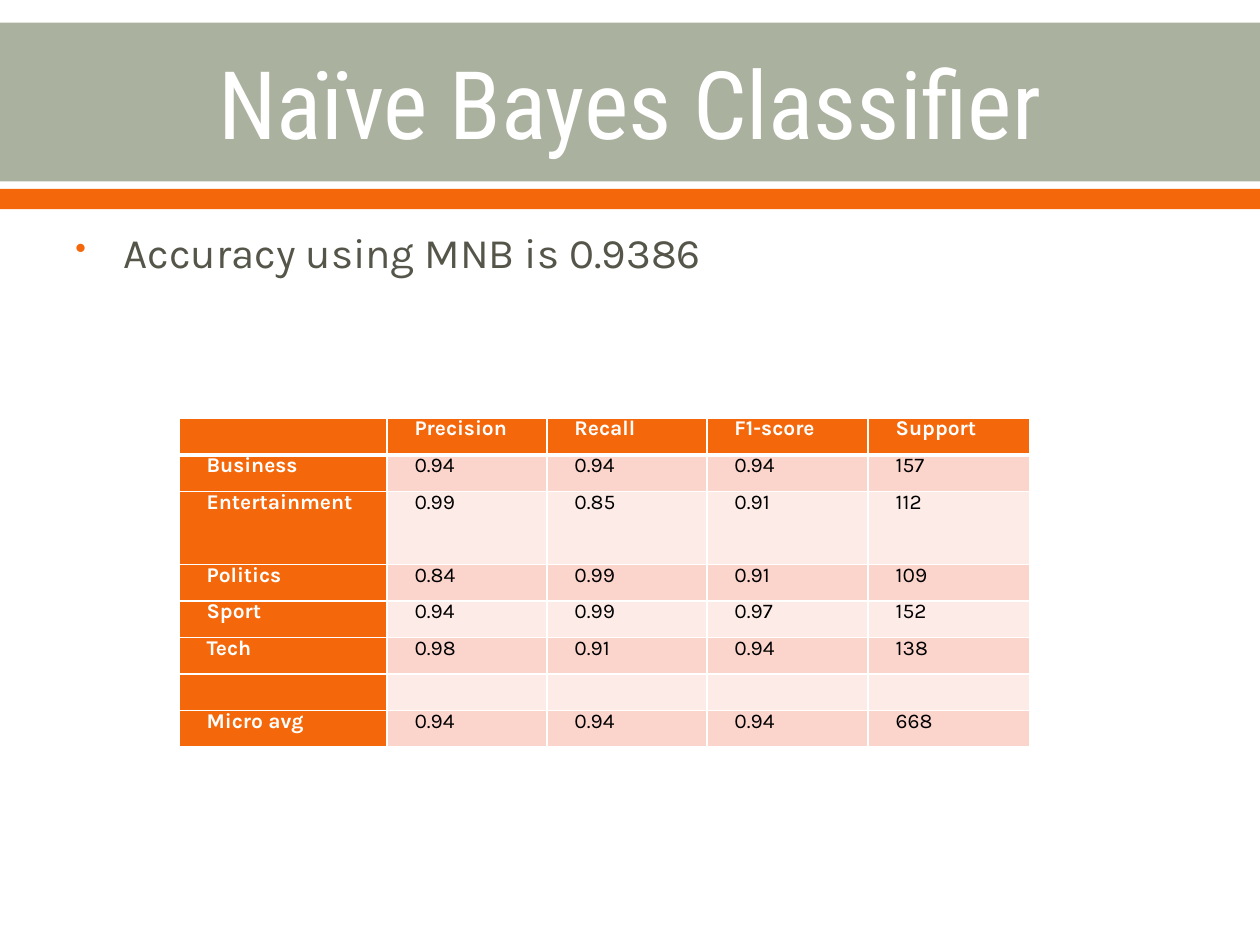
from lxml.etree import SubElement
from pptx import Presentation
from pptx.dml.color import RGBColor
from pptx.enum.shapes import MSO_SHAPE
from pptx.enum.text import MSO_ANCHOR, PP_ALIGN
from pptx.oxml.ns import qn
from pptx.util import Inches, Pt

COLORS = {
    "sage": "ABB19F",
    "orange": "F4680B",
    "white": "FFFFFF",
    "body": "55554A",
    "black": "000000",
    "band_dark": "FBD4CC",
    "band_light": "FDEBE7",
}
HEADING_FONT = "Roboto Condensed"
BODY_FONT = "Karla"

SCORES = [
    ["", "Precision", "Recall", "F1-score", "Support"],
    ["Business", "0.94", "0.94", "0.94", "157"],
    ["Entertainment", "0.99", "0.85", "0.91", "112"],
    ["Politics", "0.84", "0.99", "0.91", "109"],
    ["Sport", "0.94", "0.99", "0.97", "152"],
    ["Tech", "0.98", "0.91", "0.94", "138"],
    ["", "", "", "", ""],
    ["Micro avg", "0.94", "0.94", "0.94", "668"],
]
COLUMN_WIDTHS = [1.65, 1.27, 1.27, 1.28, 1.28]
ROW_HEIGHT = 0.29
TALL_ROW = 2


def rgb(name):
    return RGBColor.from_string(COLORS[name])


def style_font(paragraph, face, size, color, bold=False):
    font = paragraph.font
    font.name, font.size, font.bold = face, Pt(size), bold
    font.color.rgb = rgb(color)


def add_band(slide, left, top, width, height, color):
    band = slide.shapes.add_shape(
        MSO_SHAPE.RECTANGLE, Inches(left), Inches(top), Inches(width), Inches(height)
    )
    band.shadow.inherit = False
    band.fill.solid()
    band.fill.fore_color.rgb = rgb(color)
    band.line.fill.background()


def add_text(slide, left, top, width, height, text):
    """Add a wrapping text box and return its frame."""
    frame = slide.shapes.add_textbox(
        Inches(left), Inches(top), Inches(width), Inches(height)
    ).text_frame
    frame.word_wrap = True
    frame.text = text
    return frame


def add_header(slide, left, top, width):
    add_band(slide, left, top, width, 1.26, "sage")
    add_band(slide, left, top + 1.32, width, 0.16, "orange")
    frame = add_text(
        slide, left + 0.5, top + 0.02, width - 1, 1.22, "Naïve Bayes Classifier"
    )
    frame.vertical_anchor = MSO_ANCHOR.MIDDLE
    title = frame.paragraphs[0]
    title.alignment = PP_ALIGN.CENTER
    style_font(title, HEADING_FONT, 54, "white")


def add_body(slide, left, top, width, height):
    frame = add_text(slide, left, top, width, height, "Accuracy using MNB is 0.9386")
    accuracy = frame.paragraphs[0]
    accuracy.space_before = Pt(4.8)
    style_font(accuracy, BODY_FONT, 24, "body")
    properties = accuracy._p.get_or_add_pPr()
    properties.set("marL", str(Inches(0.38)))
    properties.set("indent", str(-Inches(0.38)))
    bullet_color = properties.makeelement(qn("a:buClr"), {})
    SubElement(bullet_color, qn("a:srgbClr"), val=COLORS["orange"])
    bullet_size = properties.makeelement(qn("a:buSzPct"), {"val": "75000"})
    bullet = properties.makeelement(qn("a:buChar"), {"char": "•"})
    run_defaults = properties.find(qn("a:defRPr"))
    for part in (bullet_color, bullet_size, bullet):
        run_defaults.addprevious(part)


def set_borders(cell, bottom_width, top_width):
    widths = {"lnL": 1, "lnR": 1, "lnT": top_width, "lnB": bottom_width}
    properties = cell._tc.get_or_add_tcPr()
    for position, (side, width) in enumerate(widths.items()):
        line = properties.makeelement(qn(f"a:{side}"), {"w": str(Pt(width))})
        fill = SubElement(line, qn("a:solidFill"))
        SubElement(fill, qn("a:srgbClr"), val=COLORS["white"])
        properties.insert(position, line)


def fill_cell(cell, text, row, column):
    is_label = row == 0 or column == 0
    band = "band_dark" if row % 2 else "band_light"
    cell.fill.solid()
    cell.fill.fore_color.rgb = rgb("orange" if is_label else band)
    cell.margin_left = cell.margin_right = Inches(0.07)
    cell.margin_top = cell.margin_bottom = 0
    cell.text = text
    paragraph = cell.text_frame.paragraphs[0]
    paragraph.line_spacing = 0.9
    style_font(paragraph, BODY_FONT, 12, "white" if is_label else "black", is_label)
    properties = paragraph._p.get_or_add_pPr()
    properties.set("marL", "0")
    properties.set("indent", str(Inches(0.15)))
    set_borders(cell, 3 if row == 0 else 1, 3 if row == 1 else 1)


def add_score_table(slide, left, top):
    table = slide.shapes.add_table(
        len(SCORES),
        len(COLUMN_WIDTHS),
        Inches(left),
        Inches(top),
        Inches(sum(COLUMN_WIDTHS)),
        Inches(ROW_HEIGHT * (len(SCORES) + 1)),
    ).table
    for column, width in zip(table.columns, COLUMN_WIDTHS):
        column.width = Inches(width)
    for row, values in enumerate(SCORES):
        table.rows[row].height = Inches(ROW_HEIGHT * (2 if row == TALL_ROW else 1))
        for column, text in enumerate(values):
            fill_cell(table.cell(row, column), text, row, column)


def main():
    presentation = Presentation()
    presentation.slide_width = Inches(10)
    presentation.slide_height = Inches(7.5)
    slide = presentation.slides.add_slide(presentation.slide_layouts[6])
    add_header(slide, 0, 0.18, 10)
    add_body(slide, 0.5, 1.75, 9, 4.95)
    add_score_table(slide, 1.42, 3.32)
    presentation.save("out.pptx")


if __name__ == "__main__":
    main()
